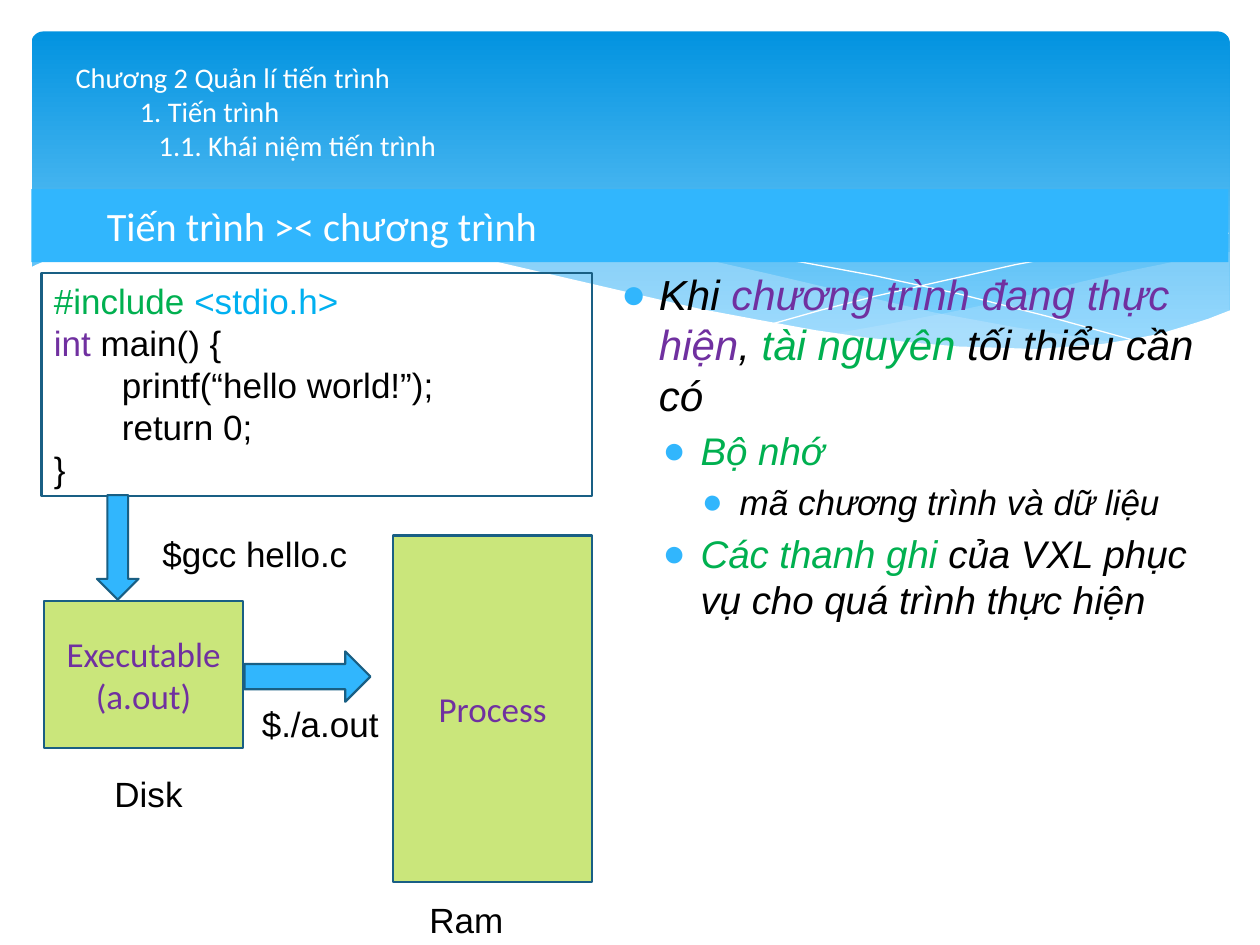
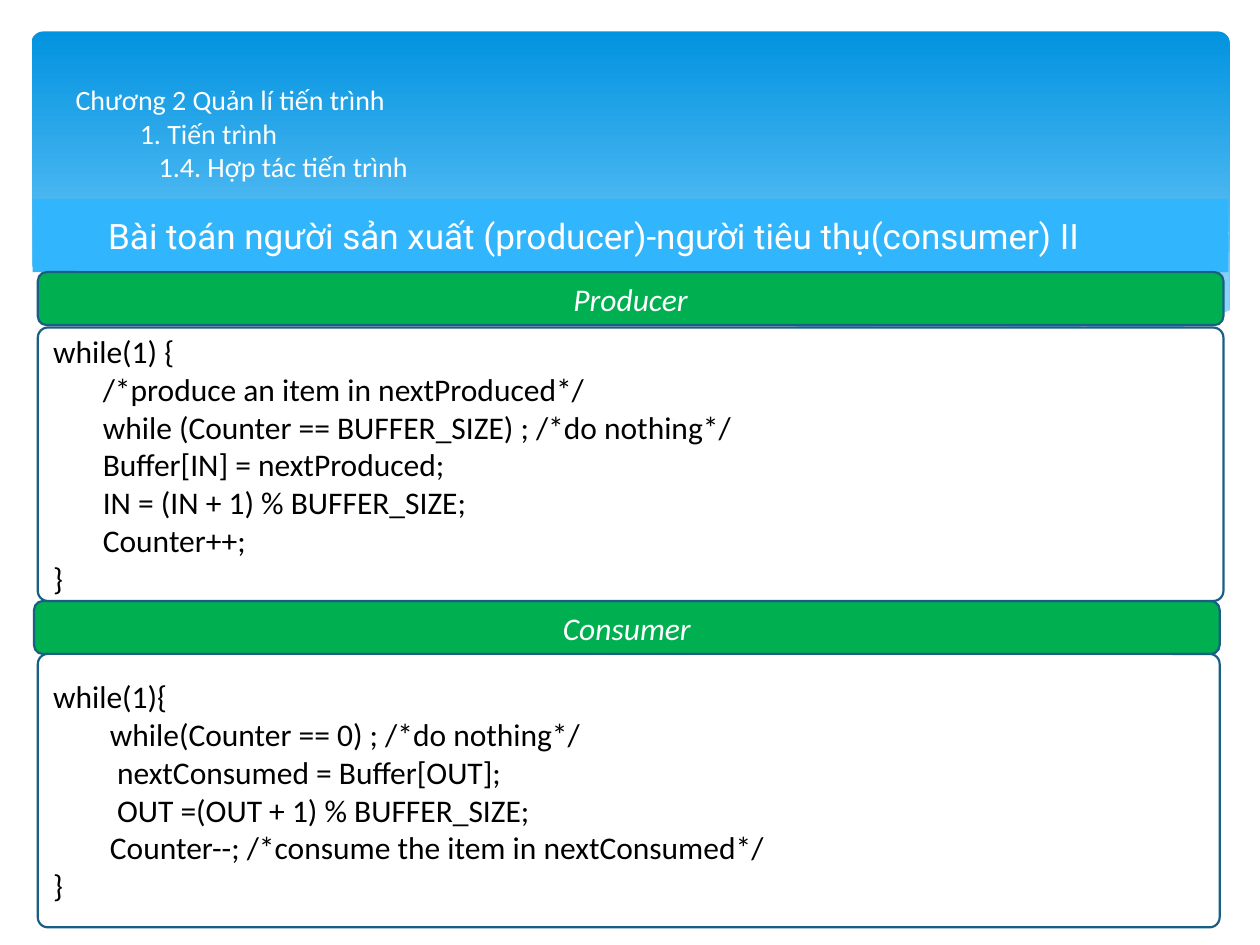
from lxml.etree import SubElement
from pptx import Presentation
from pptx.dml.color import RGBColor
from pptx.enum.shapes import MSO_SHAPE as Shape
from pptx.enum.text import MSO_ANCHOR as Anchor, MSO_AUTO_SIZE as AutoSize, PP_ALIGN as Align
from pptx.oxml.ns import qn
from pptx.util import Emu, Pt

PX = 9144  # EMU in one px, 100 px to the inch

COLOURS = {
    "white": "FFFFFF", "black": "000000", "sky": "31B6FD", "deep": "0293E0",
    "pale": "83D3FE", "mist": "C6E7FC", "edge": "195F84", "lime": "CAE67B",
    "green": "00B050", "purple": "7030A0", "cyan": "00B0F0",
}

# Outlines of the waves under the banner
RIGHT_WAVE = [
    (975, 200), (948, 204), (921, 210), (891, 216), (861, 223), (805, 237), (753, 248),
    (706, 257), (661, 265), (691, 269), (718, 273), (745, 275), (781, 277), (814, 278),
    (844, 277), (872, 274), (897, 270), (921, 265), (942, 259), (963, 252), (976, 247),
    (976, 200)]
MIDDLE_WAVE = [
    (893, 273), (866, 269), (807, 260), (741, 248), (668, 231), (613, 218), (569, 208),
    (527, 200), (489, 194), (441, 189), (399, 186), (361, 186), (313, 188), (286, 191),
    (323, 196), (362, 203), (404, 211), (449, 222), (530, 240), (601, 255), (650, 264),
    (695, 270), (736, 275), (773, 278), (807, 279), (838, 278), (867, 276)]
FALLING_LINE = [
    (309, 195), (335, 191), (363, 189), (401, 187), (450, 188), (489, 190), (532, 194),
    (582, 200), (636, 208), (695, 219), (760, 233), (831, 251), (907, 272)]
RISING_LINE = [
    (613, 257), (652, 246), (695, 235), (748, 223), (806, 210), (866, 199), (910, 192),
    (951, 187), (975, 185)]
WHITE_WAVE = [
    (977, 246), (959, 253), (940, 259), (920, 265), (899, 269), (875, 273), (850, 275),
    (823, 277), (793, 276), (761, 275), (726, 272), (688, 268), (647, 262), (603, 254),
    (555, 245), (503, 233), (447, 220), (391, 207), (339, 197), (292, 191), (250, 186),
    (211, 184), (177, 184), (146, 185), (119, 187), (95, 191), (75, 195), (59, 199),
    (46, 203), (36, 207), (29, 210), (23, 213), (23, 329), (977, 329)]


def rgb(name):
    return RGBColor.from_string(COLOURS[name])


def set_all(target, values):
    for name, value in values.items():
        setattr(target, name, value)


class SlideKit:
    def __init__(self, deck):
        self.deck = deck
        self.page = None

    def new_page(self, layout):
        self.page = self.deck.slides.add_slide(self.deck.slide_layouts[layout])
        self.backdrop()

    def place(self, item, area):
        set_all(item, dict(zip(("left", "top", "width", "height"),
                               (Emu(side * PX) for side in area))))

    def paint(self, item, fill=None, line=None, width=1.25):
        item.shadow.inherit = False
        if fill:
            item.fill.solid()
            item.fill.fore_color.rgb = rgb(fill)
        else:
            item.fill.background()
        if line:
            item.line.color.rgb = rgb(line)
            item.line.width = Pt(width)
        else:
            item.line.fill.background()

    def set_text(self, frame, paras, size, colour="black", font="Calibri", italic=False,
                 align=Align.LEFT, anchor=Anchor.MIDDLE):
        """Each para is a text, or a dict with spans, indent, hanging, bullet, level, size."""
        set_all(frame, {"word_wrap": True, "auto_size": AutoSize.NONE,
                        "vertical_anchor": anchor})
        for index, entry in enumerate(paras):
            entry = {"spans": [(entry, colour)]} if isinstance(entry, str) else entry
            para = frame.paragraphs[0] if index == 0 else frame.add_paragraph()
            set_all(para, {"alignment": align, "level": entry.get("level", 0)})
            if index == 0:
                para.space_before = Pt(0)
            props = para._p.get_or_add_pPr()
            props.set("marL", str(entry.get("indent", 0) * PX))
            props.set("indent", str(-entry.get("hanging", 0) * PX))
            if "bullet" in entry:
                tint = SubElement(props, qn("a:buClr"))
                SubElement(tint, qn("a:srgbClr"), val=COLOURS["sky"])
                SubElement(props, qn("a:buFont"), typeface=font)
                SubElement(props, qn("a:buChar"), char=entry["bullet"])
            for text, tone in entry["spans"]:
                span = para.add_run()
                span.text = text
                set_all(span.font, {"size": Pt(entry.get("size", size)), "name": font,
                                    "italic": italic})
                span.font.color.rgb = rgb(tone)

    def box(self, kind, area, fill=None, line="edge", paras=(), corner=None, **style):
        item = self.page.shapes.add_shape(kind, 0, 0, 0, 0)
        self.place(item, area)
        self.paint(item, fill, line)
        if corner is not None:
            item.adjustments[0] = corner
        if paras:
            self.set_text(item.text_frame, paras, **style)
        return item

    def label(self, area, text):
        item = self.page.shapes.add_textbox(0, 0, 0, 0)
        self.place(item, area)
        self.set_text(item.text_frame, [text], 20, font="Arial", anchor=Anchor.TOP)

    def outline(self, points, fill=None, line=None, alpha=None):
        builder = self.page.shapes.build_freeform(*points[0], scale=PX)
        builder.add_line_segments(points[1:], close=fill is not None)
        item = builder.convert_to_shape()
        self.paint(item, fill, line, width=0)
        if alpha:
            tint = item._element.spPr.find(qn("a:solidFill")).find(qn("a:srgbClr"))
            SubElement(tint, qn("a:alpha"), val=str(alpha * 1000))

    def backdrop(self):
        banner = self.box(Shape.ROUNDED_RECTANGLE, (25, 25, 951, 270), line=None, corner=0.034)
        banner.fill.gradient()
        banner.fill.gradient_angle = 270
        for stop, position, tone in zip(banner.fill.gradient_stops, (0, 0.9), ("deep", "pale")):
            stop.position = position
            stop.color.rgb = rgb(tone)
        self.outline(RIGHT_WAVE, fill="mist", alpha=29)
        self.outline(MIDDLE_WAVE, fill="mist", alpha=40)
        self.outline(FALLING_LINE, line="white")
        self.outline(RISING_LINE, line="white")
        self.outline(WHITE_WAVE, fill="white")

    def fill_placeholder(self, item, area, paras, size, **style):
        item.element.getparent().append(item.element)  # in front of the backdrop
        self.place(item, area)
        self.set_text(item.text_frame, paras, size, **style)

    def title(self, area, section, size):
        lines = ("Chương 2 Quản lí tiến trình", "1. Tiến trình", section)
        paras = [{"spans": [(text, "white")], "indent": indent}
                 for text, indent in zip(lines, (0, 51, 66))]
        self.fill_placeholder(self.page.shapes.title, area, paras, size)

    def bullets(self, area, items):
        paras = [{"spans": spans, "level": level, "indent": (30, 63, 94)[level],
                  "hanging": 30, "bullet": "●", "size": 24 - 2 * level}
                 for level, spans in items]
        self.fill_placeholder(self.page.placeholders[1], area, paras, 24, font="Arial",
                              italic=True, anchor=Anchor.TOP)

    def band(self, area, text, size, font="Calibri"):
        self.box(Shape.RECTANGLE, area, "sky", None,
                 [{"spans": [(text, "white")], "indent": 50, "level": 1}],
                 size=size, font=font)


def program_page(kit):
    kit.new_page(1)
    kit.title((50, 37, 900, 103), "1.1. Khái niệm tiến trình", 16.2)
    kit.bullets((483, 208, 500, 533), [
        (0, [("Khi ", "black"), ("chương trình đang thực hiện", "purple"), (", ", "black"),
             ("tài nguyên ", "green"), ("tối thiểu cần có", "black")]),
        (1, [("Bộ nhớ", "green")]),
        (2, [("mã chương trình và dữ liệu", "black")]),
        (1, [("Các thanh ghi ", "green"),
             ("của VXL phục vụ cho quá trình thực hiện", "black")]),
    ])
    kit.band((25, 150, 950, 58), "Tiến trình >< chương trình", 23)

    # Source code, then the steps from disk to memory
    kit.box(Shape.RECTANGLE, (33, 217, 437, 177), size=20, font="Arial", paras=[
        {"spans": [("#include ", "green"), ("<stdio.h>", "cyan")]},
        {"spans": [("int", "purple"), (" main() {", "black")]},
        "       printf(“hello world!”);",
        "       return 0;",
        "}",
    ])
    kit.box(Shape.DOWN_ARROW, (77, 393, 33, 83), "sky")
    kit.box(Shape.RIGHT_ARROW, (194, 517, 100, 40), "sky")
    for area, text in (((35, 477, 158, 117), "Executable (a.out)"),
                       ((312, 425, 158, 275), "Process")):
        kit.box(Shape.RECTANGLE, area, "lime", paras=[text], size=20, colour="purple",
                align=Align.CENTER)
    for left, top, text in ((119, 418, "$gcc hello.c"), (198, 553, "$./a.out"),
                            (81, 608, "Disk"), (331, 708, "Ram")):
        kit.label((left, top, 183, 44), text)


def producer_page(kit):
    kit.new_page(5)
    kit.title((50, 37, 900, 137), "1.4. Hợp tác tiến trình", 16)
    kit.band((26, 158, 949, 58),
             "Bài toán người sản xuất (producer)-người tiêu thụ(consumer) II", 20, "Roboto")

    # Headings above their code
    for left, top, text in ((30, 216, "Producer"), (27, 477, "Consumer")):
        kit.box(Shape.ROUNDED_RECTANGLE, (left, top, 941, 42), "green", paras=[text], size=18,
                colour="white", italic=True, align=Align.CENTER)
    producer = [
        "while(1) {",
        "       /*produce an item in nextProduced*/",
        "       while (Counter == BUFFER_SIZE) ; /*do nothing*/",
        "       Buffer[IN] = nextProduced;",
        "       IN = (IN + 1) % BUFFER_SIZE;",
        "       Counter++;",
        "}",
    ]
    consumer = [
        "while(1){",
        "        while(Counter == 0) ; /*do nothing*/",
        "         nextConsumed = Buffer[OUT];",
        "         OUT =(OUT + 1) % BUFFER_SIZE;",
        "        Counter--; /*consume the item in nextConsumed*/",
        "}",
    ]
    for top, width, code in ((260, 941, producer), (519, 938, consumer)):
        kit.box(Shape.ROUNDED_RECTANGLE, (30, top, width, 217), "white", paras=code,
                corner=0.037, size=18)


def main():
    deck = Presentation()
    set_all(deck, {"slide_width": Emu(1000 * PX), "slide_height": Emu(750 * PX)})
    kit = SlideKit(deck)
    program_page(kit)
    producer_page(kit)
    deck.save("out.pptx")


if __name__ == "__main__":
    main()
